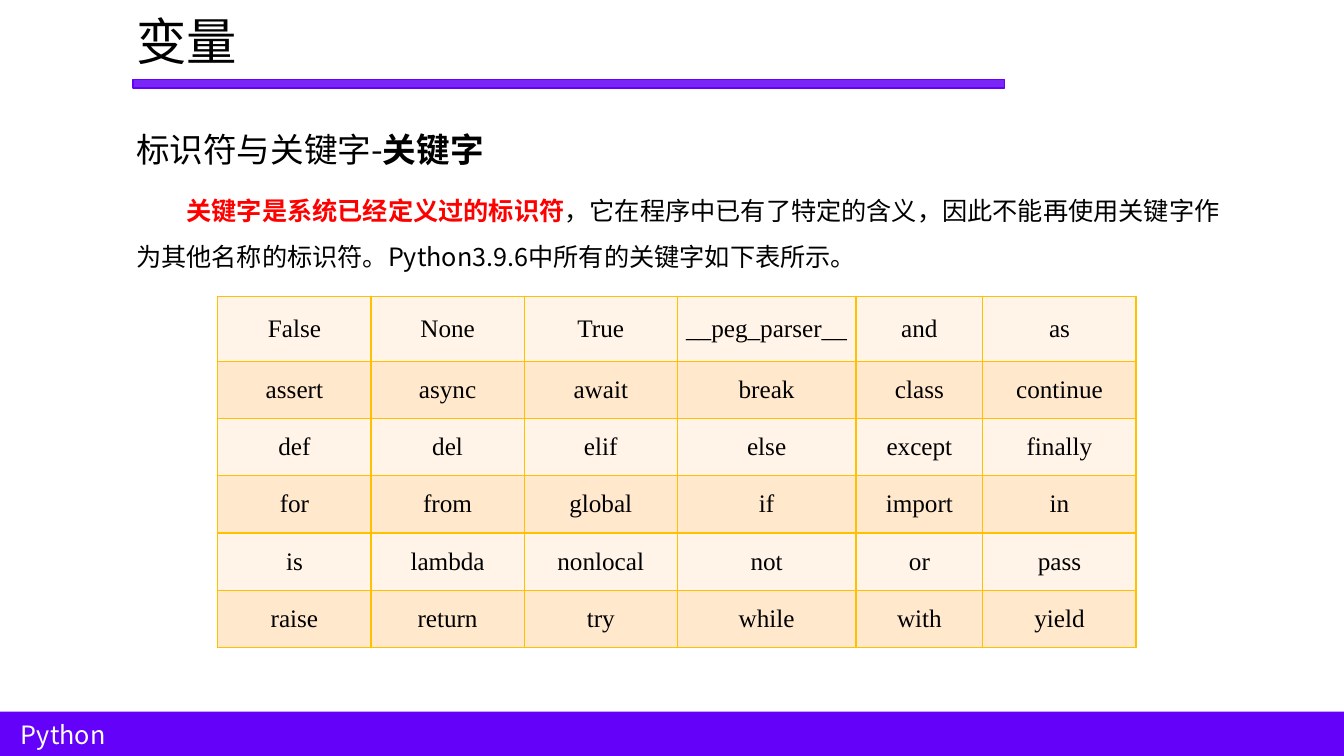
"""Build the slide on Python keywords."""
from pptx import Presentation
from pptx.dml.color import RGBColor
from pptx.enum.shapes import MSO_SHAPE as SHAPE
from pptx.enum.text import MSO_ANCHOR as ANCHOR, MSO_AUTO_SIZE as AUTO, PP_ALIGN as ALIGN
from pptx.oxml import parse_xml
from pptx.oxml.ns import nsdecls, qn
from pptx.util import Cm, Pt
from lxml.etree import SubElement

PURPLE = RGBColor(0x64, 0x01, 0xF8)
WHITE = RGBColor(0xFF, 0xFF, 0xFF)
BLACK = RGBColor(0, 0, 0)
RED = RGBColor(0xFF, 0, 0)
GOLD = RGBColor(0xFF, 0xC0, 0x00)
BANDS = RGBColor(0xFF, 0xF4, 0xE7), RGBColor(0xFF, 0xE8, 0xCC)
SANS, SERIF = "Noto Sans CJK SC", "Times New Roman"

WIDTH, HEIGHT = 33.87, 19.05
RULE = (3.35, 2.01, 21.97, 0.21)
FOOTER = (0, 17.93, WIDTH, 1.12)

TEXTS = [
    ((0.28, 18.01, 6.81, 1.03), 18, {},
     [("Python", WHITE, False)]),
    ((3.18, 0.13, 10.67, 1.8), 36, {},
     [("变量", BLACK, False)]),
    ((3.18, 3.12, 12.27, 1.28), 24, {},
     [("标识符与关键字-", BLACK, False), ("关键字", BLACK, True)]),
    ((3.18, 4.42, 27.81, 2.57), 18, {"line_spacing": 1.5},
     [("关键字是系统已经定义过的标识符", RED, True),
      ("，它在程序中已有了特定的含义，因此不能再使用关键字作为其他名称的标识符。"
       "Python3.9.6中所有的关键字如下表所示。", BLACK, False)]),
]
INDENT = Cm(1.27)

KEYWORDS = [
    ["False", "None", "True", "__peg_parser__", "and", "as"],
    ["assert", "async", "await", "break", "class", "continue"],
    ["def", "del", "elif", "else", "except", "finally"],
    ["for", "from", "global", "if", "import", "in"],
    ["is", "lambda", "nonlocal", "not", "or", "pass"],
    ["raise", "return", "try", "while", "with", "yield"],
]
TABLE_LEFT, TABLE_TOP = 5.49, 7.47
COLS = [3.86, 3.86, 3.86, 4.5, 3.2, 3.86]
ROWS = [1.64] + [1.44] * 5
CELL = {"vertical_anchor": ANCHOR.MIDDLE, "margin_left": Cm(0.18),
        "margin_right": Cm(0.18), "margin_top": 0, "margin_bottom": 0}


def set_attrs(obj, values):
    for name, value in values.items():
        setattr(obj, name, value)


def add_run(p, text, size, font, color, bold=False):
    r = p.add_run()
    r.text = text
    r.font.color.rgb = color
    set_attrs(r.font, {"size": Pt(size), "bold": bold, "name": font})
    SubElement(r._r.get_or_add_rPr(), qn("a:ea"), typeface=font)


def add_bar(s, box):
    sp = s.shapes.add_shape(SHAPE.RECTANGLE, *map(Cm, box))
    sp.shadow.inherit = False
    sp.fill.solid()
    sp.fill.fore_color.rgb = PURPLE
    return sp


def add_text(s, box, size, layout, runs):
    tf = s.shapes.add_textbox(*map(Cm, box)).text_frame
    set_attrs(tf, {"word_wrap": True, "auto_size": AUTO.SHAPE_TO_FIT_TEXT})
    p = tf.paragraphs[0]
    if layout:
        p._p.get_or_add_pPr().set("indent", str(INDENT))
    set_attrs(p, layout)
    for text, color, bold in runs:
        add_run(p, text, size, SANS, color, bold)


def add_borders(cell):
    tc_pr = cell._tc.get_or_add_tcPr()
    for i, side in enumerate(("lnL", "lnR", "lnT", "lnB")):
        tc_pr.insert(i, parse_xml(
            f'<a:{side} {nsdecls("a")} w="{Pt(1)}"><a:solidFill>'
            f'<a:srgbClr val="{GOLD}"/></a:solidFill></a:{side}>'))


def add_keywords(s):
    frame = s.shapes.add_table(len(ROWS), len(COLS), Cm(TABLE_LEFT), Cm(TABLE_TOP),
                               Cm(sum(COLS)), Cm(sum(ROWS)))
    table = frame.table
    for col, width in zip(table.columns, COLS):
        col.width = Cm(width)
    for i, (row, height) in enumerate(zip(table.rows, ROWS)):
        row.height = Cm(height)
        for cell, word in zip(row.cells, KEYWORDS[i]):
            set_attrs(cell, CELL)
            cell.fill.solid()
            cell.fill.fore_color.rgb = BANDS[i % 2]
            add_borders(cell)
            p = cell.text_frame.paragraphs[0]
            p.alignment = ALIGN.CENTER
            add_run(p, word, 18, SERIF, BLACK)


def main():
    prs = Presentation()
    set_attrs(prs, {"slide_width": Cm(WIDTH), "slide_height": Cm(HEIGHT)})
    s = prs.slides.add_slide(prs.slide_layouts[6])
    rule = add_bar(s, RULE)
    rule.line.color.rgb = PURPLE
    rule.line.width = Pt(1)
    color = rule.fill._xPr.find(qn("a:solidFill"))[0]
    SubElement(color, qn("a:alpha"), val="85000")
    add_bar(s, FOOTER).line.fill.background()
    for text in TEXTS:
        add_text(s, *text)
    add_keywords(s)
    prs.save("out.pptx")


if __name__ == "__main__":
    main()
